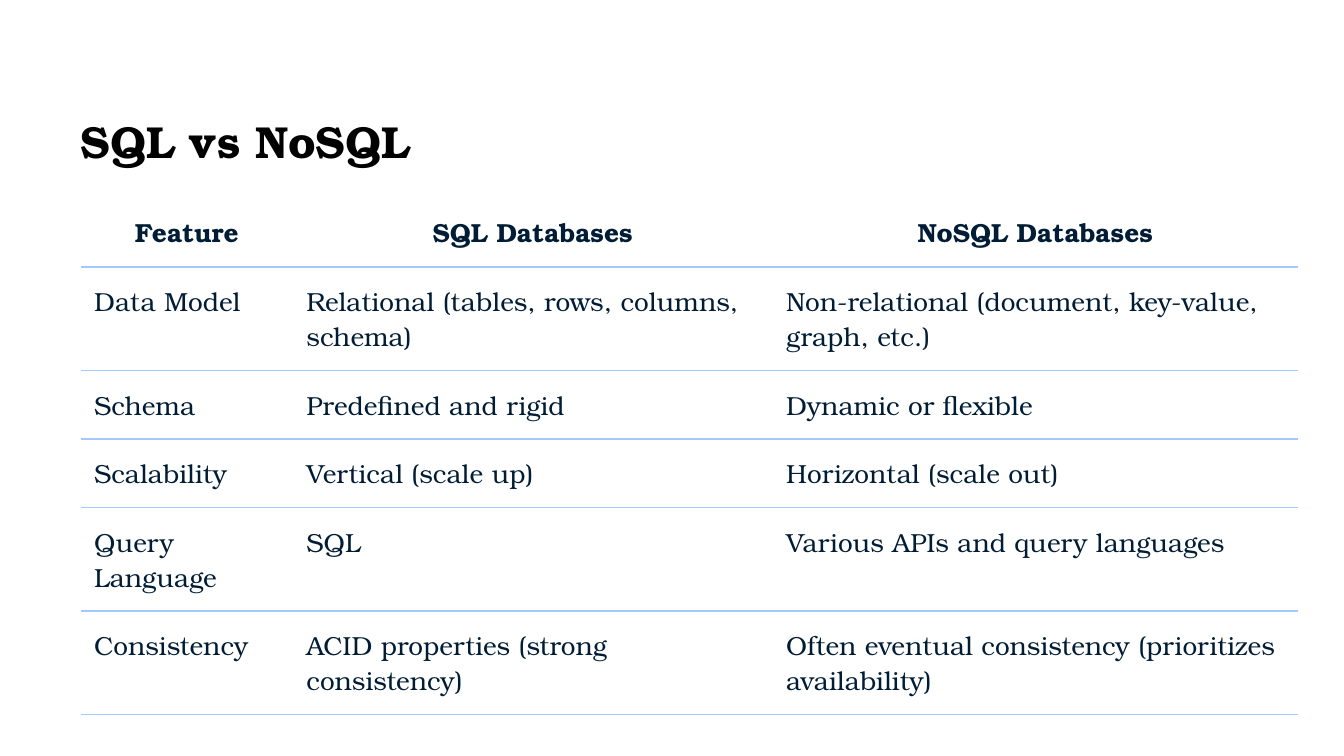
from dataclasses import dataclass

from lxml import etree
from pptx import Presentation
from pptx.dml.color import RGBColor
from pptx.enum.text import MSO_ANCHOR, MSO_AUTO_SIZE, PP_ALIGN
from pptx.oxml.ns import qn
from pptx.util import Inches, Pt

LEFT, CENTER = PP_ALIGN.LEFT, PP_ALIGN.CENTER
MIDDLE, TOP = MSO_ANCHOR.MIDDLE, MSO_ANCHOR.TOP
NO_AUTOFIT = MSO_AUTO_SIZE.NONE
PLAIN_STYLE = "{2D5ABB26-0587-4C30-8999-92F81FD0307C}"


@dataclass(frozen=True)
class Theme:
    font: str = "TeX Gyre Bonum"
    title_color: str = "000000"
    text_color: str = "001D35"
    rule_color: str = "A3C9FF"
    cell_fill: str = "FFFFFF"
    title_size: int = 24
    table_size: int = 14
    rule_width: float = 0.75


THEME = Theme()

SLIDE_WIDTH = 10
SLIDE_HEIGHT = SLIDE_WIDTH * 9 / 16
COL_WIDTHS = [1.58, 3.57, 3.91]
ROW_HEIGHTS = [0.33, 0.68, 0.47, 0.47, 0.68, 0.68]
ROWS = [
    ["Feature", "SQL Databases", "NoSQL Databases"],
    ["Data Model", "Relational (tables, rows, columns, schema)",
     "Non-relational (document, key-value, graph, etc.)"],
    ["Schema", "Predefined and rigid", "Dynamic or flexible"],
    ["Scalability", "Vertical (scale up)", "Horizontal (scale out)"],
    ["Query Language", "SQL", "Various APIs and query languages"],
    ["Consistency", "ACID properties (strong consistency)",
     "Often eventual consistency (prioritizes availability)"],
]


def write_text(tf, text, size, color, bold=False, align=LEFT, spacing=None):
    p = tf.paragraphs[0]
    p.alignment = align
    p.line_spacing = spacing
    r = p.add_run()
    r.text = text
    r.font.name = THEME.font
    r.font.size = Pt(size)
    r.font.bold = bold
    r.font.color.rgb = RGBColor.from_string(color)


def add_title(s, text):
    sp = s.shapes.title
    sp.left, sp.top = Inches(0.5), Inches(0.75)
    sp.width, sp.height = Inches(8.99), Inches(0.65)
    tf = sp.text_frame
    tf.word_wrap = True
    tf.auto_size = NO_AUTOFIT
    tf.vertical_anchor = MIDDLE
    tf.margin_left = tf.margin_right = Inches(0.1)
    tf.margin_top = tf.margin_bottom = Inches(0.1)
    write_text(tf, text, THEME.title_size, THEME.title_color, bold=True,
               spacing=0.9)


def add_rules(cell, sides):
    tc_pr = cell._tc.get_or_add_tcPr()
    for i, side in enumerate(sides):
        ln = etree.Element(qn(f"a:ln{side}"), w=str(Pt(THEME.rule_width)))
        fill = etree.SubElement(ln, qn("a:solidFill"))
        etree.SubElement(fill, qn("a:srgbClr"), val=THEME.rule_color)
        tc_pr.insert(i, ln)


def format_cell(cell, text, header):
    cell.fill.solid()
    cell.fill.fore_color.rgb = RGBColor.from_string(THEME.cell_fill)
    cell.margin_left = cell.margin_right = Inches(0.1)
    cell.margin_top = Pt(7 if header else 9)
    cell.margin_bottom = Pt(9)
    cell.vertical_anchor = TOP
    write_text(cell.text_frame, text, THEME.table_size, THEME.text_color,
               bold=header, align=CENTER if header else LEFT)
    add_rules(cell, "B" if header else "TB")


def add_comparison(s):
    table = s.shapes.add_table(
        len(ROWS), len(COL_WIDTHS), Inches(0.6), Inches(1.48),
        Inches(sum(COL_WIDTHS)), Inches(sum(ROW_HEIGHTS))).table
    table.horz_banding = False
    table._tbl.tblPr.find(qn("a:tableStyleId")).text = PLAIN_STYLE
    for col, width in zip(table.columns, COL_WIDTHS):
        col.width = Inches(width)
    for i, (row, height) in enumerate(zip(table.rows, ROW_HEIGHTS)):
        row.height = Inches(height)
        for cell, text in zip(row.cells, ROWS[i]):
            format_cell(cell, text, header=i == 0)


def main():
    prs = Presentation()
    prs.slide_width, prs.slide_height = Inches(SLIDE_WIDTH), Inches(SLIDE_HEIGHT)
    s = prs.slides.add_slide(prs.slide_layouts[5])
    add_title(s, "SQL vs NoSQL")
    add_comparison(s)
    prs.save("out.pptx")


if __name__ == "__main__":
    main()
